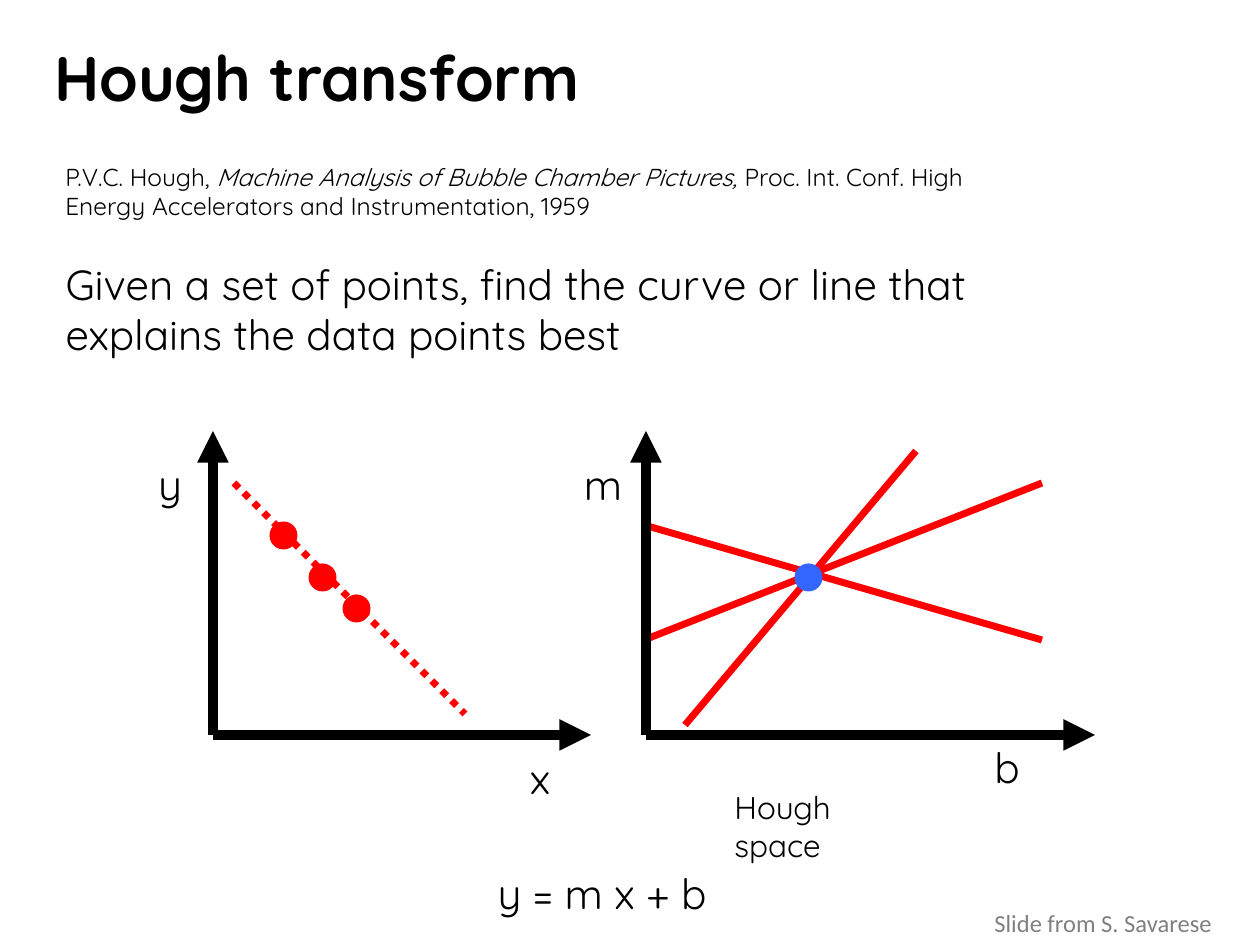
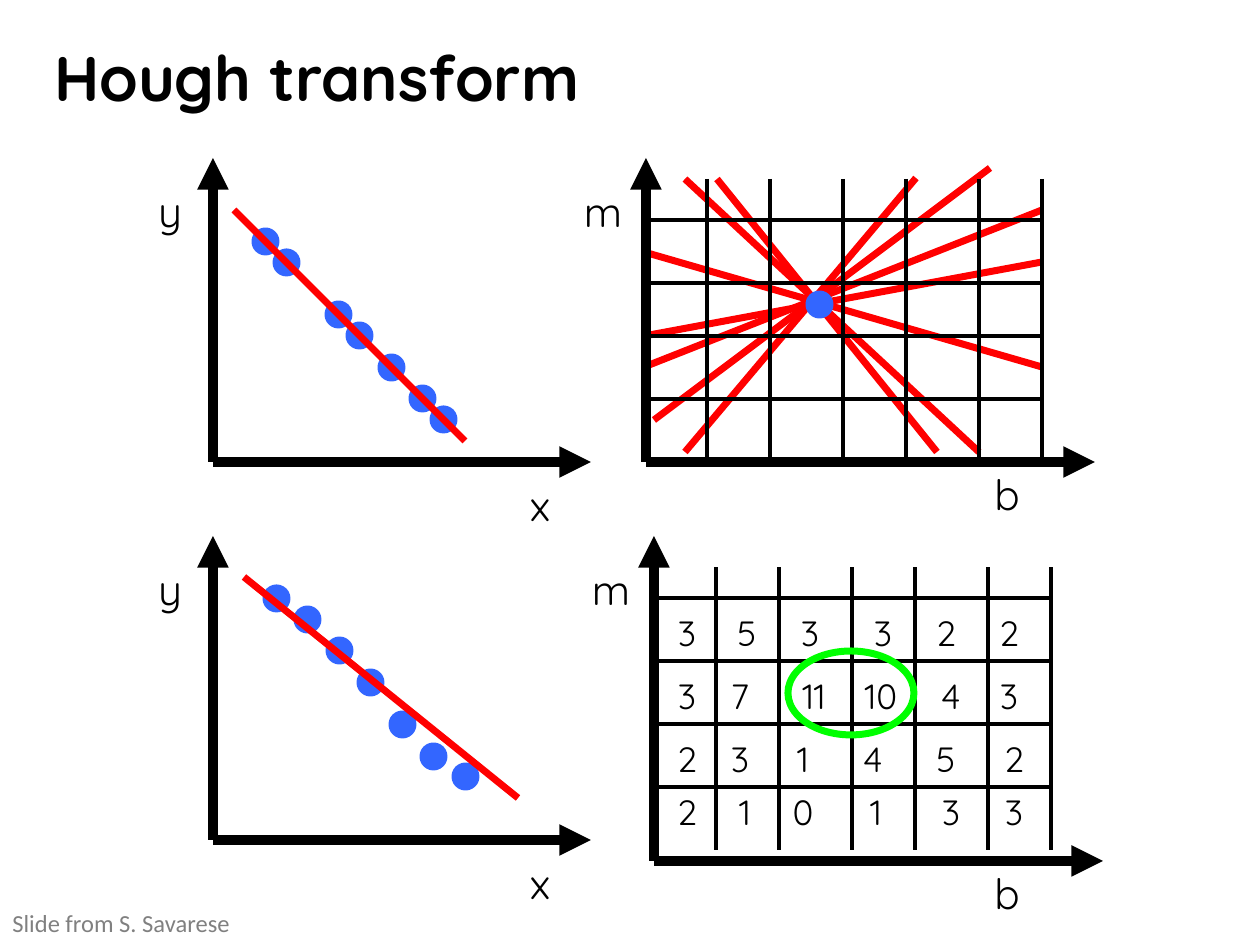
from dataclasses import dataclass
from typing import NamedTuple, Optional

from lxml.etree import SubElement
from pptx import Presentation
from pptx.dml.color import RGBColor
from pptx.enum.dml import MSO_LINE
from pptx.enum.shapes import MSO_CONNECTOR, MSO_SHAPE
from pptx.enum.text import MSO_ANCHOR, MSO_AUTO_SIZE, PP_ALIGN
from pptx.oxml.ns import qn
from pptx.shapes.autoshape import Shape
from pptx.slide import Slide
from pptx.util import Emu, Pt

PX_PER_INCH = 126
BLACK = RGBColor(0x00, 0x00, 0x00)
RED = RGBColor(0xFF, 0x00, 0x00)
BLUE = RGBColor(0x33, 0x66, 0xFF)
GREEN = RGBColor(0x00, 0xFF, 0x00)
GRAY = RGBColor(0x80, 0x80, 0x80)

TITLE_FONT = {"name": "Quicksand", "size": Pt(36), "bold": True}
BODY_FONT = {"name": "Quicksand", "size": Pt(24)}
VOTE_FONT = {"name": "Quicksand", "size": Pt(20)}
CAPTION_FONT = {"name": "Quicksand", "size": Pt(18)}
CITATION_FONT = {"name": "Quicksand", "size": Pt(14)}
CREDIT_FONT = {"name": "Calibri", "size": Pt(14)}

DOT_SIZE = 21
MARK_WIDTH = 4


class Box(NamedTuple):
    left: int
    top: int
    width: int
    height: int


class Segment(NamedTuple):
    x1: int
    y1: int
    x2: int
    y2: int


@dataclass(frozen=True)
class Axes:
    left: int
    base: int
    width: int
    height: int
    x_name: str
    y_name: str
    x_name_center: int
    x_name_drop: int
    y_name_gap: int


@dataclass(frozen=True)
class Grid:
    left: int
    top: int
    bottom: int
    rows: tuple[int, ...]


class VoteRow(NamedTuple):
    top: int
    votes: tuple[int, ...]
    centers: tuple[int, ...]


# Distances of the grid columns from the left end of the grid rows
COLUMNS = (63, 126, 199, 262, 335, 398)

# Heights are measured from the horizontal axis
HOUGH_LINES = (
    Segment(685, -10, 916, -284),
    Segment(644, -95, 1042, -252),
    Segment(644, -210, 1042, -95),
)
MORE_HOUGH_LINES = (
    Segment(937, -10, 717, -283),
    Segment(654, -42, 990, -294),
    Segment(979, -10, 685, -283),
    Segment(644, -126, 1042, -200),
)

EXACT_POINT_LEFTS = (433, 412, 381, 349, 328, 276, 255)
EXACT_POINT_RISE = 24
NOISY_POINTS = ((455, 766), (423, 746), (392, 714), (360, 672),
                (329, 640), (297, 609), (266, 588))
RED_POINTS = ((346, 598), (273, 525), (312, 567))

EXACT_GRID = Grid(644, 179, 462, (220, 283, 336, 399))
VOTE_GRID = Grid(653, 567, 850, (598, 661, 724, 787))
VOTE_ROWS = (
    VoteRow(605, (3, 5, 3, 3, 2, 2), (687, 747, 810, 883, 946, 1009)),
    VoteRow(668, (3, 7, 11, 10, 4, 3), (687, 740, 814, 881, 951, 1009)),
    VoteRow(731, (2, 3, 1, 4, 5, 2), (687, 740, 803, 873, 946, 1014)),
    VoteRow(784, (2, 1, 0, 1, 3, 3), (687, 745, 803, 876, 951, 1014)),
)


def px(length: float) -> Emu:
    return Emu(round(length * 914400 / PX_PER_INCH))


def apply_format(target: object, values: dict) -> None:
    for name, value in values.items():
        setattr(target, name, value)


def place(shape: Shape, box: Box) -> None:
    apply_format(shape, {name: px(value) for name, value in box._asdict().items()})


def write(shape: Shape, texts: tuple[str, ...], font: dict,
          color: RGBColor = BLACK, align: PP_ALIGN = PP_ALIGN.LEFT,
          anchor: MSO_ANCHOR = MSO_ANCHOR.TOP, wrap: bool = True) -> None:
    """Fill the shape with one paragraph; every second run is italic."""
    frame = shape.text_frame
    apply_format(frame, {"word_wrap": wrap, "vertical_anchor": anchor,
                         "auto_size": MSO_AUTO_SIZE.NONE})
    paragraph = frame.paragraphs[0]
    apply_format(paragraph, {"alignment": align, "space_before": Pt(0)})
    for index, text in enumerate(texts):
        run = paragraph.add_run()
        run.text = text
        apply_format(run.font, font)
        run.font.color.rgb = color
        if index % 2:
            run.font.italic = True


def add_text(slide: Slide, box: Box, *texts: str, font: dict, **options) -> None:
    shape = slide.shapes.add_textbox(*map(px, box))
    write(shape, texts, font, **options)


def add_centered(slide: Slide, center: int, top: int, text: str, font: dict) -> None:
    add_text(slide, Box(center - 30, top, 60, 60), text, font=font,
             align=PP_ALIGN.CENTER, wrap=False)


def add_line(slide: Slide, segment: Segment, color: RGBColor, width: int,
             dash: Optional[MSO_LINE] = None, arrow: bool = False) -> None:
    connector = slide.shapes.add_connector(MSO_CONNECTOR.STRAIGHT, *map(px, segment))
    connector.line.color.rgb = color
    apply_format(connector.line, {"width": Pt(width), "dash_style": dash})
    if arrow:
        outline = connector.line._get_or_add_ln()
        SubElement(outline, qn("a:tailEnd"), type="triangle")
    SubElement(connector._element.spPr, qn("a:effectLst"))


def add_ellipse(slide: Slide, box: Box, color: RGBColor, filled: bool) -> None:
    shape = slide.shapes.add_shape(MSO_SHAPE.OVAL, *map(px, box))
    shape.shadow.inherit = False
    if filled:
        shape.fill.solid()
        shape.fill.fore_color.rgb = color
    else:
        shape.fill.background()
    shape.line.color.rgb = color
    shape.line.width = Pt(MARK_WIDTH)


def add_dot(slide: Slide, left: int, top: int, color: RGBColor = BLUE) -> None:
    add_ellipse(slide, Box(left, top, DOT_SIZE, DOT_SIZE), color, filled=True)


def add_axes(slide: Slide, axes: Axes) -> None:
    left, base = axes.left, axes.base
    top = base - axes.height
    for segment in (Segment(left, base, left, top),
                    Segment(left, base, left + axes.width, base)):
        add_line(slide, segment, BLACK, 6, arrow=True)
    add_centered(slide, axes.x_name_center, base + axes.x_name_drop,
                 axes.x_name, BODY_FONT)
    add_centered(slide, left - axes.y_name_gap, top + 21, axes.y_name, BODY_FONT)


def point_axes(base: int) -> Axes:
    return Axes(213, base, 378, 304, "x", "y", 540, 11, 43)


def hough_axes(left: int, base: int, height: int) -> Axes:
    return Axes(left, base, 449, height, "b", "m", 1007, 0, 43)


def add_hough_lines(slide: Slide, base: int, lines: tuple[Segment, ...]) -> None:
    for line in lines:
        add_line(slide, Segment(line.x1, base + line.y1, line.x2, base + line.y2),
                 RED, MARK_WIDTH)


def add_grid(slide: Slide, grid: Grid) -> None:
    right = grid.left + COLUMNS[-1]
    segments = [Segment(grid.left, row, right, row) for row in grid.rows]
    segments += [Segment(grid.left + column, grid.top, grid.left + column, grid.bottom)
                 for column in COLUMNS]
    for segment in segments:
        add_line(slide, segment, BLACK, 2)


def add_slide(presentation: Presentation, layout_index: int, credit_left: int) -> Slide:
    slide = presentation.slides.add_slide(presentation.slide_layouts[layout_index])
    place(slide.shapes.title, Box(42, 32, 1081, 89))
    write(slide.shapes.title, ("Hough transform",), TITLE_FONT)
    add_text(slide, Box(credit_left, 902, 278, 43), "Slide from S. Savarese",
             font=CREDIT_FONT, color=GRAY, wrap=False)
    return slide


def add_problem(slide: Slide) -> None:
    body = slide.placeholders[1]
    place(body, Box(53, 252, 1061, 115))
    properties = body.text_frame.paragraphs[0]._p.get_or_add_pPr()
    properties.set("marL", "0")
    properties.set("indent", "0")
    SubElement(properties, qn("a:buNone"))
    write(body, ("Given a set of points, find the curve or line that "
                 "explains the data points best",), BODY_FONT)
    add_text(slide, Box(53, 155, 983, 72), "P.V.C. Hough, ",
             "Machine Analysis of Bubble Chamber Pictures,",
             " Proc. Int. Conf. High Energy Accelerators and Instrumentation, 1959",
             font=CITATION_FONT, anchor=MSO_ANCHOR.MIDDLE)


def build_idea_slide(presentation: Presentation) -> None:
    slide = add_slide(presentation, 1, 982)
    add_problem(slide)
    base = 735
    add_line(slide, Segment(234, 483, 465, 714), RED, MARK_WIDTH, MSO_LINE.ROUND_DOT)
    add_axes(slide, point_axes(base))
    add_hough_lines(slide, base, HOUGH_LINES)
    add_axes(slide, hough_axes(646, base, 304))
    add_dot(slide, 798, 567)
    for left, top in RED_POINTS:
        add_dot(slide, left, top, RED)
    add_text(slide, Box(722, 782, 190, 100), "Hough space", font=CAPTION_FONT)
    add_centered(slide, 602, 861, "y = m x + b", BODY_FONT)


def build_voting_slide(presentation: Presentation) -> None:
    slide = add_slide(presentation, 5, 0)
    base = 462
    add_axes(slide, point_axes(base))
    for left in EXACT_POINT_LEFTS:
        add_dot(slide, left, left - EXACT_POINT_RISE)
    add_line(slide, Segment(234, 210, 465, 441), RED, MARK_WIDTH)
    add_hough_lines(slide, base, HOUGH_LINES + MORE_HOUGH_LINES)
    add_axes(slide, hough_axes(646, base, 304))
    add_grid(slide, EXACT_GRID)
    add_dot(slide, 809, 294)

    for left, top in NOISY_POINTS:
        add_dot(slide, left, top)
    add_axes(slide, point_axes(840))
    add_line(slide, Segment(244, 577, 518, 798), RED, MARK_WIDTH)
    add_axes(slide, hough_axes(654, 861, 325))
    add_grid(slide, VOTE_GRID)
    for row in VOTE_ROWS:
        for vote, center in zip(row.votes, row.centers):
            add_centered(slide, center, row.top, str(vote), VOTE_FONT)
    add_ellipse(slide, Box(788, 651, 126, 84), GREEN, filled=False)


def main() -> None:
    presentation = Presentation()
    presentation.slide_width = px(1260)
    presentation.slide_height = px(945)
    build_idea_slide(presentation)
    build_voting_slide(presentation)
    presentation.save("out.pptx")


if __name__ == "__main__":
    main()
